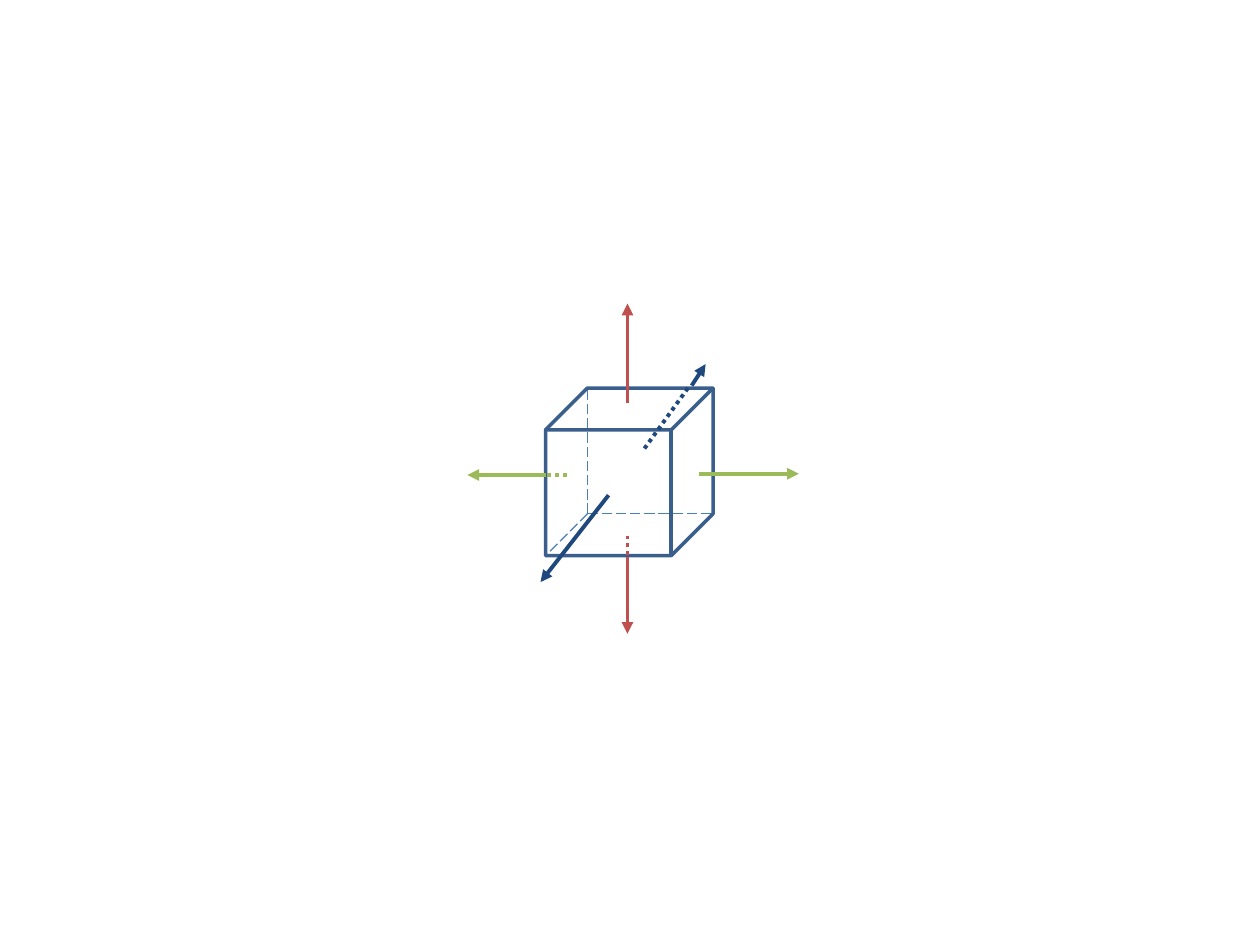
"""Draw a cube with arrows pointing outwards from its six faces."""
from lxml import etree
from pptx import Presentation
from pptx.dml.color import RGBColor
from pptx.enum.dml import MSO_LINE
from pptx.enum.shapes import MSO_CONNECTOR, MSO_SHAPE
from pptx.oxml.ns import qn
from pptx.util import Inches, Pt

STRAIGHT = MSO_CONNECTOR.STRAIGHT
CUBE = MSO_SHAPE.CUBE
LONG_DASH = MSO_LINE.LONG_DASH
DOTTED = MSO_LINE.ROUND_DOT

EDGE_BLUE = RGBColor(0x3A, 0x5F, 0x8C)
HIDDEN_BLUE = RGBColor(0x4B, 0x7E, 0xBC)
NAVY = RGBColor(0x1F, 0x49, 0x7D)
GREEN = RGBColor(0x9B, 0xBB, 0x59)
RED = RGBColor(0xC0, 0x50, 0x4D)


class Diagram:
    arrow_width = Pt(2.25)
    edge_width = Pt(2)
    hidden_width = Pt(0.75)

    def __init__(self, slide):
        self.slide = slide

    def line(self, start, end, color, width, dash=None):
        points = [Inches(value) for value in (*start, *end)]
        connector = self.slide.shapes.add_connector(STRAIGHT, *points)
        connector.line.color.rgb = color
        connector.line.width = width
        if dash is not None:
            connector.line.dash_style = dash
        etree.SubElement(connector._element.spPr, qn("a:effectLst"))
        return connector

    def hidden_edge(self, start, end):
        self.line(start, end, HIDDEN_BLUE, self.hidden_width, LONG_DASH)

    def dotted(self, start, end, color):
        self.line(start, end, color, self.arrow_width, DOTTED)

    def arrow(self, start, end, color):
        connector = self.line(start, end, color, self.arrow_width)
        outline = connector._element.spPr.find(qn("a:ln"))
        etree.SubElement(outline, qn("a:tailEnd"), type="triangle")

    def cube(self, left, top, size):
        box = self.slide.shapes.add_shape(
            CUBE, Inches(left), Inches(top), Inches(size), Inches(size))
        box.shadow.inherit = False
        box.fill.background()
        box.line.color.rgb = EDGE_BLUE
        box.line.width = self.edge_width


def main():
    deck = Presentation()
    deck.slide_width, deck.slide_height = Inches(10), Inches(7.5)
    diagram = Diagram(deck.slides.add_slide(deck.slide_layouts[6]))

    left, top, size = 4.33, 3.08, 1.33
    depth = size / 4
    back_corner = (left + depth, top + size - depth)
    for end in ((left + size, back_corner[1]),
                (back_corner[0], top),
                (left, top + size)):
        diagram.hidden_edge(back_corner, end)
    diagram.cube(left, top, size)

    diagram.arrow((4.83, 3.93), (4.29, 4.62), NAVY)
    diagram.arrow((5.49, 3.06), (5.6, 2.89), NAVY)
    diagram.arrow((5.55, 3.76), (6.34, 3.76), GREEN)
    diagram.arrow((4.33, 3.77), (3.71, 3.77), GREEN)
    diagram.dotted((4.5, 3.77), (4.34, 3.77), GREEN)
    diagram.dotted((5.46, 3.08), (5.1, 3.58), NAVY)

    middle = 4.98
    diagram.arrow((middle, 3.2), (middle, 2.41), RED)
    diagram.arrow((middle, 4.42), (middle, 5.03), RED)
    diagram.dotted((middle, 4.25), (middle, 4.42), RED)

    deck.save("out.pptx")


if __name__ == "__main__":
    main()
